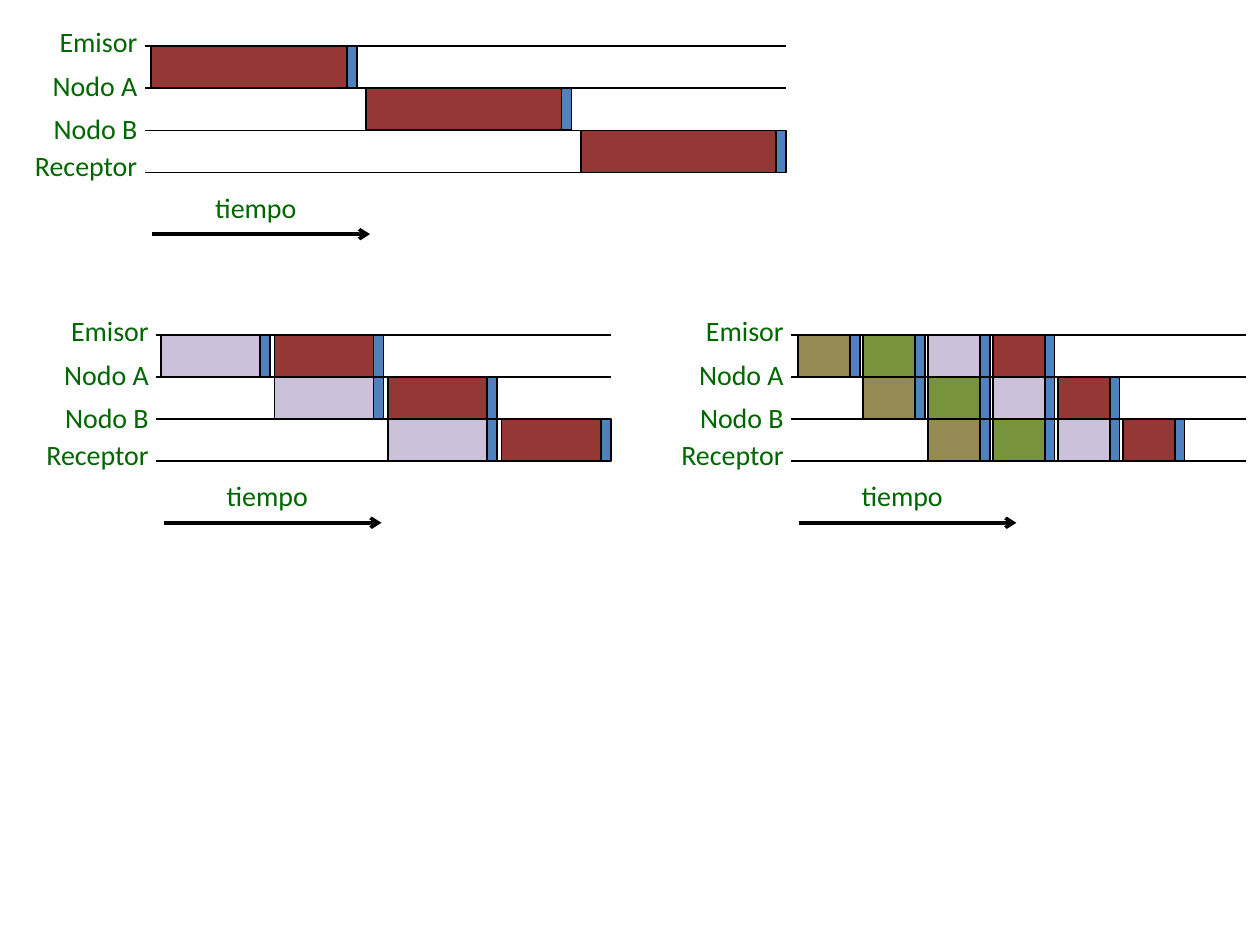
import pptx
import pptx.util
import pptx.dml.color
import pptx.enum.shapes
import pptx.enum.text
import pptx.oxml.ns
import lxml.etree

Cm = pptx.util.Cm
Pt = pptx.util.Pt
RGBColor = pptx.dml.color.RGBColor
ALIGN = pptx.enum.text.PP_ALIGN

BLACK = RGBColor(0x00, 0x00, 0x00)
GREEN_TEXT = RGBColor(0x00, 0x66, 0x00)
HEADER_BLUE = RGBColor(0x4F, 0x81, 0xBD)
RED = RGBColor(0x95, 0x37, 0x35)
LAVENDER = RGBColor(0xCC, 0xC1, 0xDA)
OLIVE = RGBColor(0x77, 0x93, 0x3C)
TAN = RGBColor(0x94, 0x8A, 0x54)

ROW_STEP = 0.85
HEADER_WIDTH = 0.2
LABEL_HEIGHT = 0.94

LABELS = [
    ("Emisor", -0.55, 2.11),
    ("Nodo A", 0.33, 2.24),
    ("Nodo B", 1.2, 2.21),
    ("Receptor", 1.95, 2.59),
]

DIAGRAMS = [
    dict(left=2.92, top=0.93, length=12.93, start=3.05, slot=4.33,
         body=3.94, packets=[RED]),
    dict(left=3.15, top=6.75, length=9.17, start=3.24, slot=2.29,
         body=2.0, packets=[LAVENDER, RED]),
    dict(left=15.95, top=6.75, length=9.17, start=16.09, slot=1.31,
         body=1.04, packets=[TAN, OLIVE, LAVENDER, RED]),
]

deck = pptx.Presentation()
deck.slide_width = Cm(25.4)
deck.slide_height = Cm(19.05)
page = deck.slides.add_slide(deck.slide_layouts[6])


def add_text(text, left, top, width, align=ALIGN.RIGHT, size=16, color=GREEN_TEXT):
    box = page.shapes.add_textbox(Cm(left), Cm(top), Cm(width), Cm(LABEL_HEIGHT))
    box.text_frame.word_wrap = False
    box.text_frame.auto_size = pptx.enum.text.MSO_AUTO_SIZE.SHAPE_TO_FIT_TEXT
    para = box.text_frame.paragraphs[0]
    para.alignment = align
    span = para.add_run()
    span.text = text
    span.font.name = "Calibri"
    span.font.size = Pt(size)
    span.font.color.rgb = color


def add_line(left, top, length, weight=1, arrow=False):
    line = page.shapes.add_connector(
        pptx.enum.shapes.MSO_CONNECTOR.STRAIGHT,
        Cm(left), Cm(top), Cm(left + length), Cm(top))
    line.line.color.rgb = BLACK
    line.line.width = Pt(weight)
    if arrow:
        outline = line.line._get_or_add_ln()
        lxml.etree.SubElement(outline, pptx.oxml.ns.qn("a:tailEnd"), type="arrow")
    properties = line._element.spPr
    lxml.etree.SubElement(properties, pptx.oxml.ns.qn("a:effectLst"))


for diagram in DIAGRAMS:
    left, top = diagram["left"], diagram["top"]
    for row in range(len(LABELS)):
        add_line(left, top + row * ROW_STEP, diagram["length"])
    for label, offset, width in LABELS:
        add_text(label, left + 0.1 - width, top + offset, width)
    add_text("tiempo", left + 1.17, top + 2.78, 2.16, align=ALIGN.LEFT)
    add_line(left + 0.15, top + 3.79, 4.39, weight=2, arrow=True)

    for hop in range(len(LABELS) - 1):
        for order, packet_color in enumerate(diagram["packets"]):
            body_left = diagram["start"] + (hop + order) * diagram["slot"]
            body_width = diagram["body"]
            middle = top + (hop + 0.5) * ROW_STEP
            parts = [
                (body_left, body_width, packet_color),
                (body_left + body_width, HEADER_WIDTH, HEADER_BLUE),
            ]
            for part_left, part_width, color in parts:
                block = page.shapes.add_shape(
                    pptx.enum.shapes.MSO_SHAPE.RECTANGLE,
                    Cm(part_left + (part_width - ROW_STEP) / 2),
                    Cm(middle - part_width / 2),
                    Cm(ROW_STEP), Cm(part_width))
                block.rotation = 90
                block.shadow.inherit = False
                block.fill.solid()
                block.fill.fore_color.rgb = color
                block.line.color.rgb = BLACK
                block.line.width = Pt(1)

deck.save("out.pptx")
